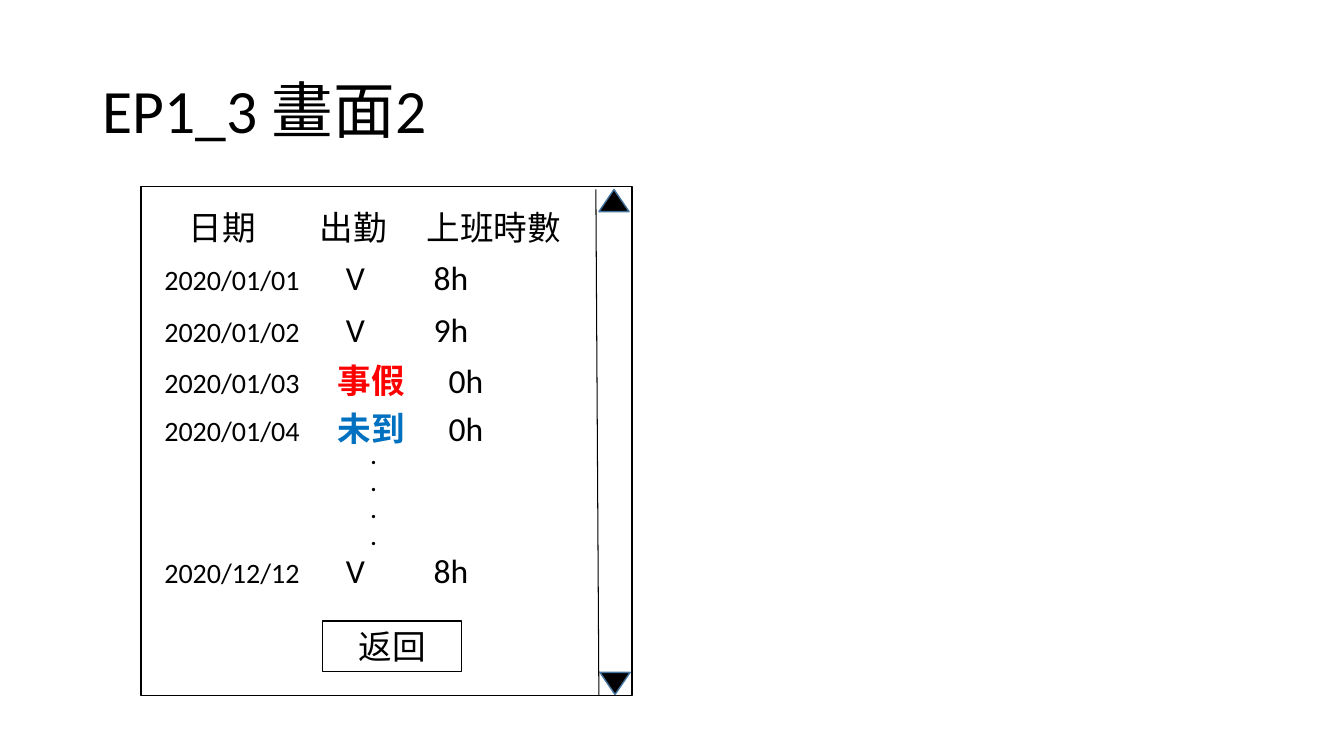
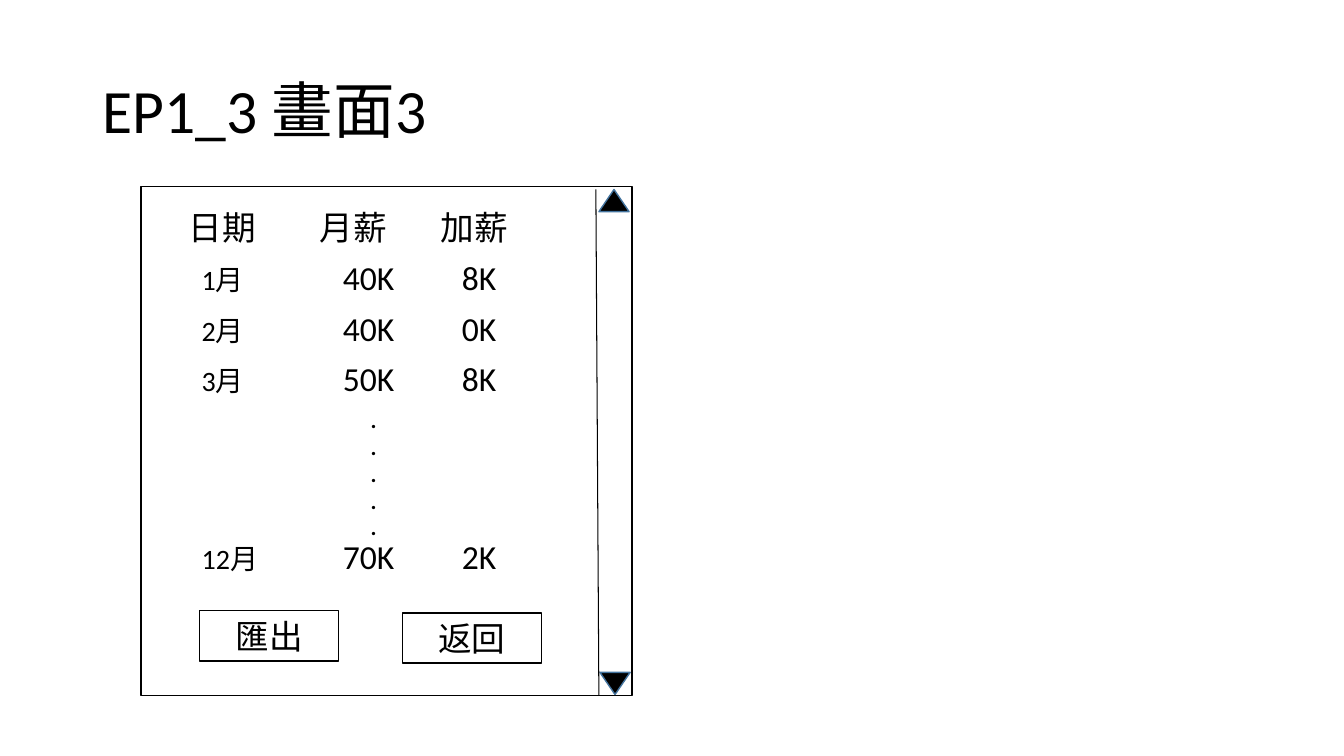
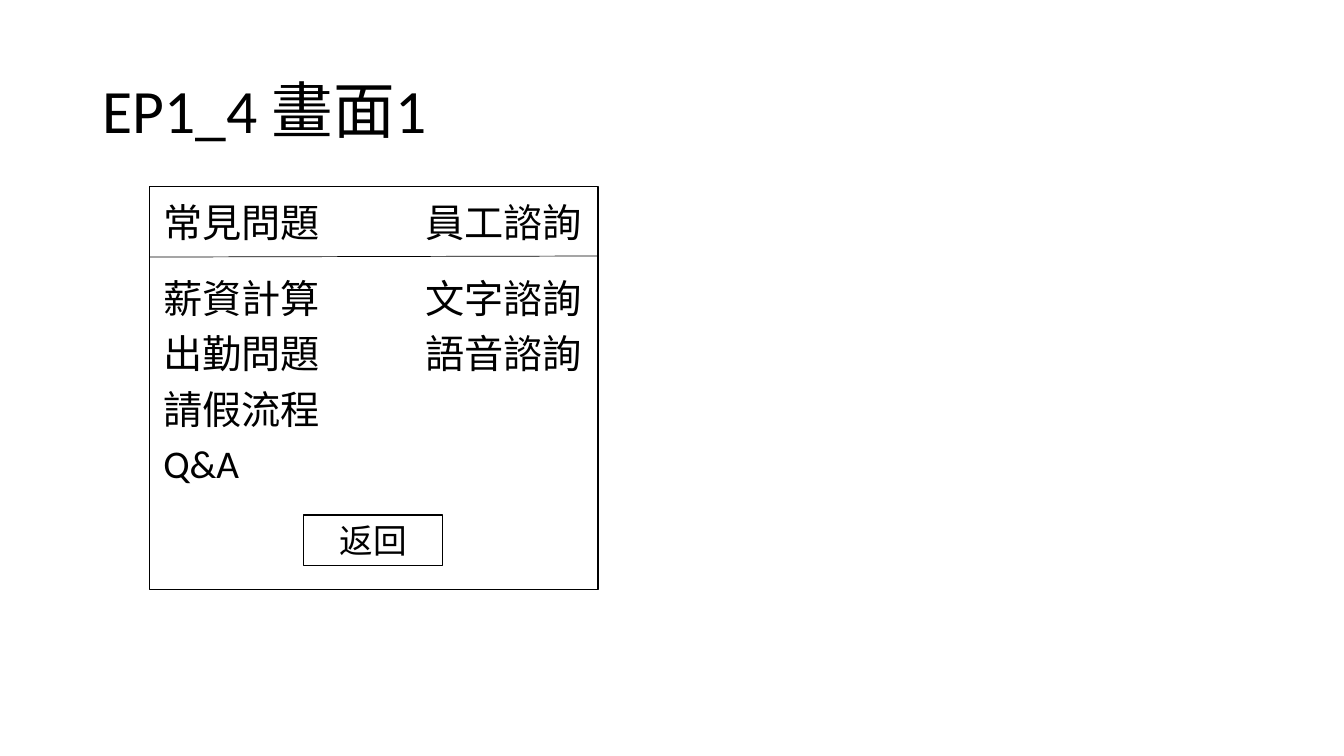
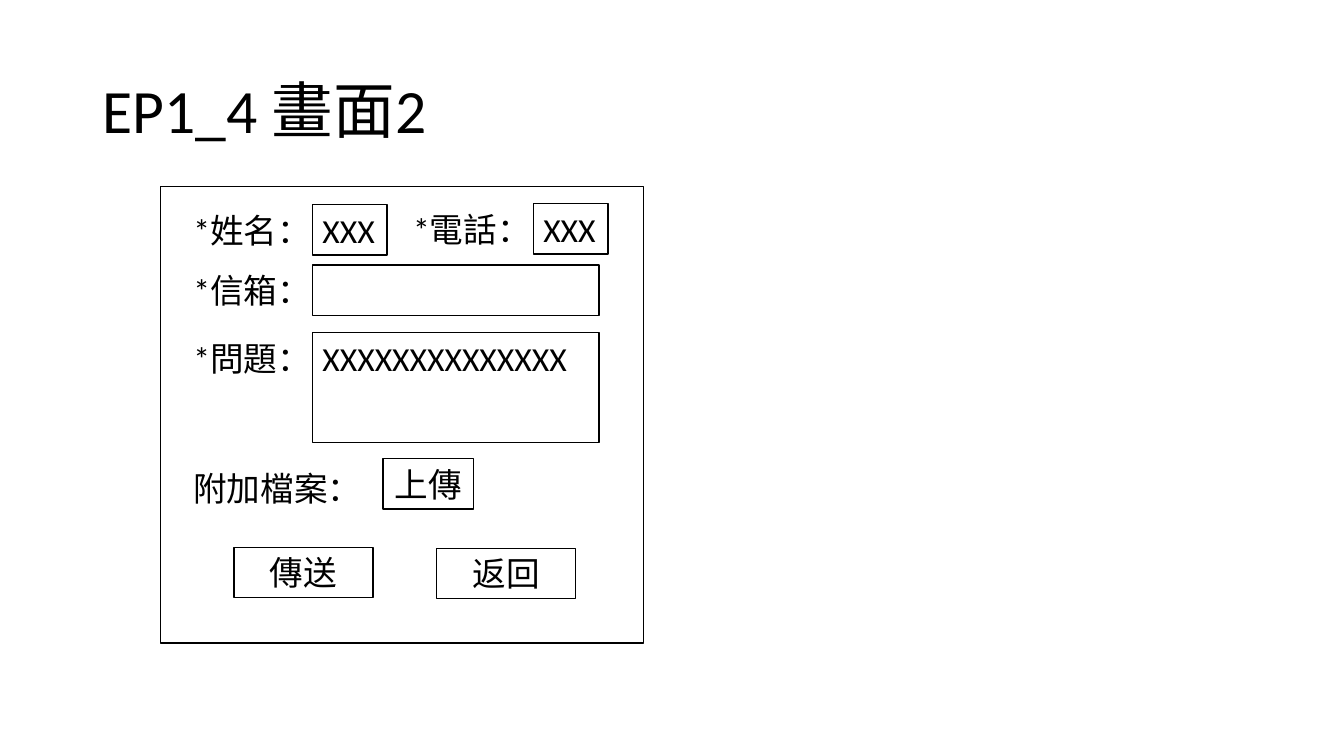
from pptx import Presentation
from pptx.dml.color import RGBColor
from pptx.enum.shapes import MSO_CONNECTOR, MSO_SHAPE
from pptx.enum.text import MSO_ANCHOR, PP_ALIGN
from pptx.oxml.ns import qn
from pptx.util import Pt
from lxml import etree

PX = 9144  # EMU per px, 100 px to the inch
FONT = "Calibri"
COLORS = {
    "ink": "000000",
    "paper": "FFFFFF",
    "arrow_edge": "43739E",
    "leave": "FF0000",
    "absent": "0070C0",
}
PANEL_TOP = 185
ROW_HEIGHT = 50
BUTTON_WIDTH = 138


def px(*lengths):
    return [length * PX for length in lengths]


def color(name):
    return RGBColor.from_string(COLORS[name])


# Text
def add_run(paragraph, text, size, ink="ink", bold=False):
    run = paragraph.add_run()
    run.text = text
    run.font.name = FONT
    run.font.size = Pt(size)
    run.font.bold = bold
    run.font.color.rgb = color(ink)


def add_text(slide, box, text, size, anchor=MSO_ANCHOR.TOP):
    shape = slide.shapes.add_textbox(*px(*box))
    frame = shape.text_frame
    frame.word_wrap = True
    frame.vertical_anchor = anchor
    if text:
        add_run(frame.paragraphs[0], text, size)
    return shape


def add_title(slide, text):
    shape = add_text(slide, (92, 40, 1150, 145), text, 44, MSO_ANCHOR.MIDDLE)
    shape.text_frame.paragraphs[0].line_spacing = 0.9


def add_row(slide, box, cells):
    """Each cell is (x on the slide, text, size, colour, bold)."""
    shape = add_text(slide, box, "", 0)
    start = cells[0][0]
    shape.text_frame.margin_left = (start - box[0]) * PX
    paragraph = shape.text_frame.paragraphs[0]
    properties = paragraph._p.get_or_add_pPr()
    tabs = etree.SubElement(properties, qn("a:tabLst"))
    for x, *_ in cells[1:]:
        etree.SubElement(tabs, qn("a:tab"), pos=str((x - start) * PX), algn="l")
    for index, (x, text, *style) in enumerate(cells):
        add_run(paragraph, "\t" + text if index else text, *style)
    return shape


def add_dots(slide, top, height, count):
    shape = add_text(slide, (148, top, 445, height), "", 0, MSO_ANCHOR.MIDDLE)
    frame = shape.text_frame
    for index in range(count):
        paragraph = frame.add_paragraph() if index else frame.paragraphs[0]
        paragraph.alignment = PP_ALIGN.CENTER
        add_run(paragraph, ".", 16, bold=True)


# Shapes and lines
def add_box(slide, kind, box, fill=None, edge="ink"):
    shape = slide.shapes.add_shape(kind, *px(*box))
    shape.shadow.inherit = False
    if fill:
        shape.fill.solid()
        shape.fill.fore_color.rgb = color(fill)
    else:
        shape.fill.background()
    shape.line.color.rgb = color(edge)
    shape.line.width = Pt(1)
    return shape


def add_panel(slide, left, width, height):
    add_box(slide, MSO_SHAPE.RECTANGLE, (left, PANEL_TOP, width, height))


def add_field(slide, box, text="", align=PP_ALIGN.LEFT, anchor=MSO_ANCHOR.MIDDLE):
    shape = add_box(slide, MSO_SHAPE.RECTANGLE, box, "paper")
    if text:
        frame = shape.text_frame
        frame.word_wrap = True
        frame.vertical_anchor = anchor
        frame.paragraphs[0].alignment = align
        add_run(frame.paragraphs[0], text, 24)


def add_button(slide, left, top, text, width=BUTTON_WIDTH):
    add_field(slide, (left, top, width, ROW_HEIGHT), text, PP_ALIGN.CENTER)


def add_line(slide, start, end, width):
    line = slide.shapes.add_connector(MSO_CONNECTOR.STRAIGHT, *px(*start, *end))
    line.line.color.rgb = color("ink")
    line.line.width = Pt(width)
    etree.SubElement(line._element.spPr, qn("a:effectLst"))


def add_scrollbar(slide):
    for left, top, rotation in ((595, 667, 180), (594, 188, 0)):
        arrow = add_box(slide, MSO_SHAPE.ISOSCELES_TRIANGLE, (left, top, 30, 22),
                        "ink", "arrow_edge")
        arrow.rotation = rotation
    add_line(slide, (591, 188), (594, 690), 0.75)


# Scrolling list shared by the attendance and salary screens
def add_list(slide, headings, rows):
    add_panel(slide, 140, 487, 505)
    header = add_row(slide, (154, 200, 470, ROW_HEIGHT),
                     [(x, text, 24) for x, text in headings])
    header.fill.solid()
    header.fill.fore_color.rgb = color("paper")
    for top, cells in rows:
        add_row(slide, (140, top, 481, ROW_HEIGHT), cells)
    add_scrollbar(slide)


def build_attendance(slide):
    add_title(slide, "EP1_3 畫面2")

    def present(day, hours):
        return [(163, day, 20), (343, "V", 24), (430, hours, 24)]

    def away(day, status, ink):
        return [(163, day, 20), (335, status, 24, ink, True), (445, "0h", 24)]

    add_list(slide, [(187, "日期"), (317, "出勤"), (423, "上班時數")], [
        (250, present("2020/01/01", "8h")),
        (302, present("2020/01/02", "9h")),
        (352, away("2020/01/03", "事假", "leave")),
        (400, away("2020/01/04", "未到", "absent")),
        (541, present("2020/12/12", "8h")),
    ])
    add_dots(slide, 445, 94, 4)
    add_button(slide, 320, 616, "返回")


def build_salary(slide):
    add_title(slide, "EP1_3 畫面3")
    months = [(250, "1月", "40K", "8K"), (301, "2月", "40K", "0K"),
              (350, "3月", "50K", "8K"), (527, "12月", "70K", "2K")]
    add_list(slide, [(187, "日期"), (317, "月薪"), (437, "加薪")], [
        (top, [(200, month, 20), (340, salary, 24), (458, increase, 24)])
        for top, month, salary, increase in months
    ])
    add_dots(slide, 400, 139, 5)
    add_button(slide, 198, 606, "匯出")
    add_button(slide, 399, 608, "返回")


def build_help(slide):
    add_title(slide, "EP1_4 畫面1")
    add_panel(slide, 148, 445, 400)
    rows = [(192, "常見問題", "員工諮詢"), (267, "薪資計算", "文字諮詢"),
            (322, "出勤問題", "語音諮詢"), (377, "請假流程"), (431, "Q&A")]
    for top, *texts in rows:
        add_row(slide, (148, top, 445, ROW_HEIGHT),
                [(x, text, 28) for x, text in zip((162, 422), texts)])
    add_line(slide, (148, 255), (593, 254), 0.5)
    add_button(slide, 301, 511, "返回")


def build_inquiry(slide):
    add_title(slide, "EP1_4 畫面2")
    add_panel(slide, 159, 479, 453)

    # Labels
    labels = [(182, 203, 140, "*姓名："), (400, 202, 140, "*電話："),
              (182, 263, 140, "*信箱："), (182, 330, 140, "*問題："),
              (182, 459, 190, "附加檔案：")]
    for left, top, width, text in labels:
        label = add_text(slide, (left, top, width, ROW_HEIGHT), text, 24)
        label.text_frame.margin_right = 0

    # Input fields
    add_field(slide, (310, 203, 74, ROW_HEIGHT), "XXX")
    add_field(slide, (529, 202, 74, ROW_HEIGHT), "XXX")
    add_field(slide, (310, 263, 284, ROW_HEIGHT))
    add_field(slide, (310, 330, 284, 109), "XXXXXXXXXXXXXX", anchor=MSO_ANCHOR.TOP)

    # Buttons
    add_button(slide, 380, 455, "上傳", 90)
    add_button(slide, 232, 543, "傳送")
    add_button(slide, 433, 544, "返回")


def main():
    presentation = Presentation()
    presentation.slide_width, presentation.slide_height = px(1333, 750)
    blank = presentation.slide_layouts[6]
    for build in (build_attendance, build_salary, build_help, build_inquiry):
        build(presentation.slides.add_slide(blank))
    presentation.save("out.pptx")


if __name__ == "__main__":
    main()
